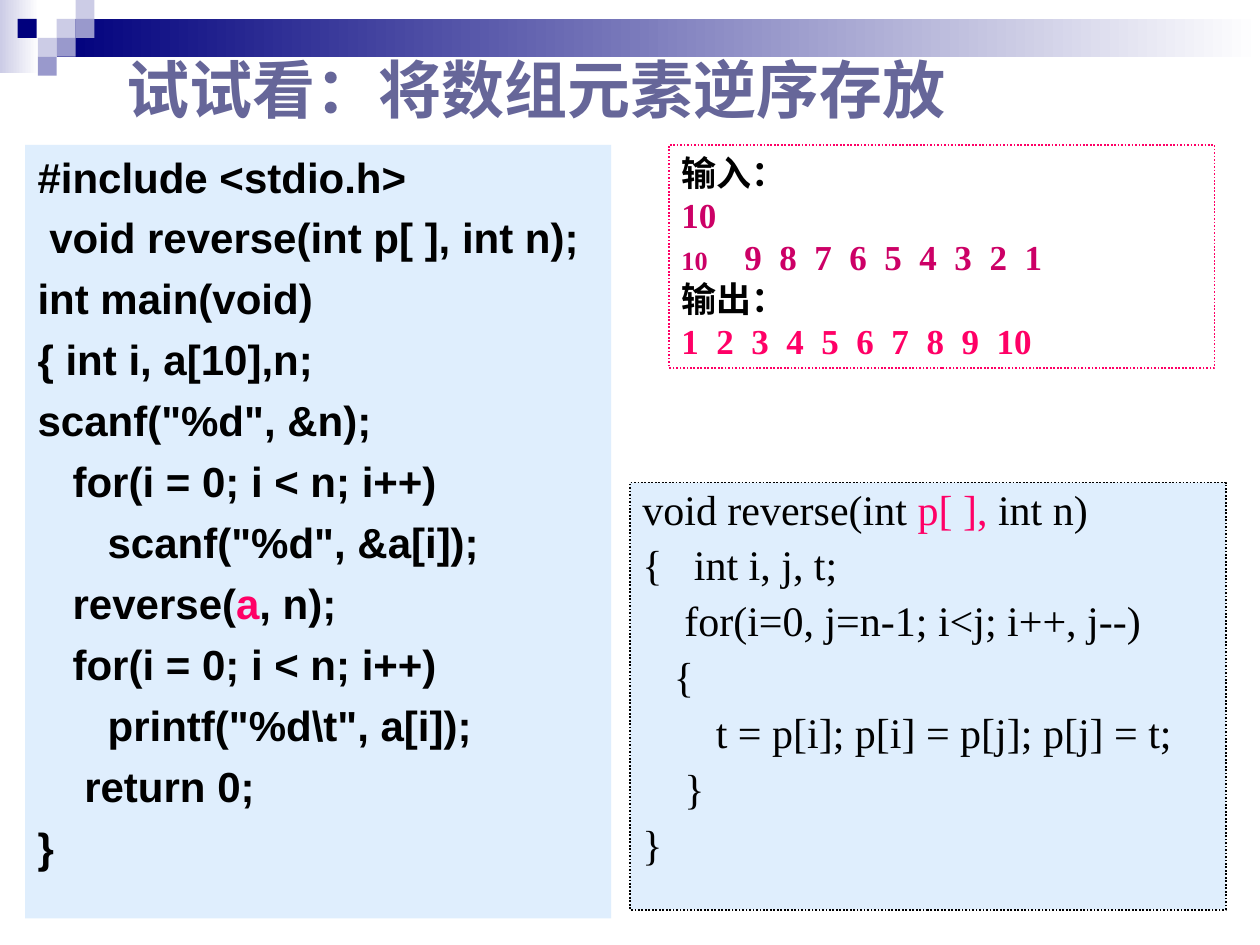
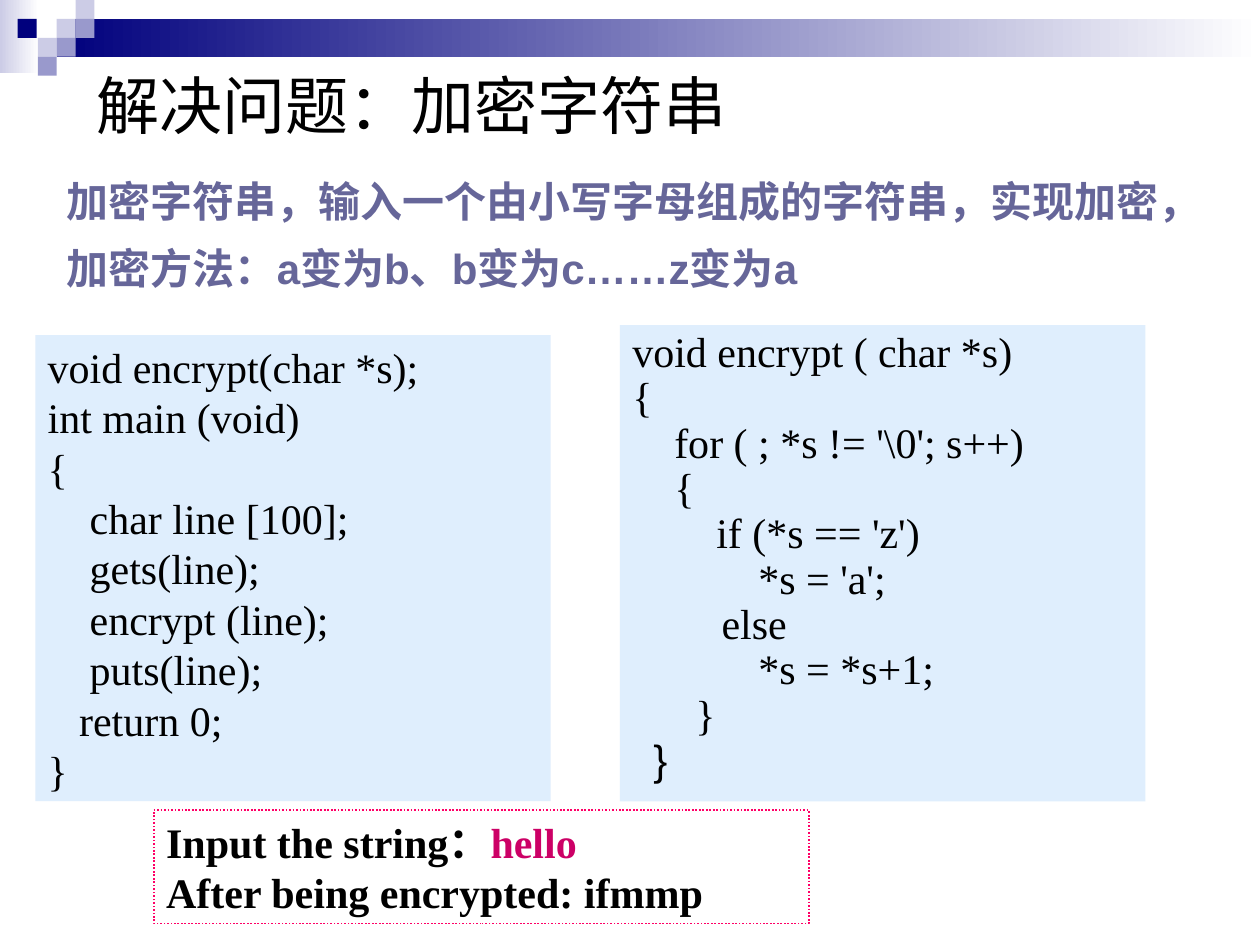
"""Builds two slides of C code examples: reversing an array and encrypting a string."""
from dataclasses import dataclass
from typing import Optional

from lxml import etree
from pptx import Presentation
from pptx.dml.color import RGBColor
from pptx.enum.dml import MSO_LINE
from pptx.enum.shapes import MSO_SHAPE
from pptx.enum.text import MSO_ANCHOR, MSO_AUTO_SIZE, PP_ALIGN
from pptx.oxml.ns import qn
from pptx.util import Inches, Pt

RECTANGLE = MSO_SHAPE.RECTANGLE
DOTTED = MSO_LINE.ROUND_DOT
TOP, MIDDLE, BOTTOM = MSO_ANCHOR.TOP, MSO_ANCHOR.MIDDLE, MSO_ANCHOR.BOTTOM
LEFT = PP_ALIGN.LEFT
NO_AUTOFIT = MSO_AUTO_SIZE.NONE
TITLE_ONLY = 5


@dataclass(frozen=True)
class Theme:
    black: str = "000000"
    white: str = "FFFFFF"
    navy: str = "00007D"
    violet: str = "9999CC"
    lavender: str = "CCCCE6"
    heading: str = "666699"
    panel: str = "DFEEFD"
    pink: str = "FF0066"
    crimson: str = "CC0066"
    sans: str = "Arial"
    serif: str = "Times New Roman"
    title_size: int = 36
    code_size: int = 24
    result_size: int = 20
    spacer_size: int = 44


THEME = Theme()
SPACE_WIDTH = {THEME.sans: 0.278, THEME.serif: 0.25}


@dataclass
class Run:
    text: str
    color: Optional[str] = None
    size: Optional[int] = None


@dataclass
class Line:
    runs: object
    indent: float = 0
    color: Optional[str] = None
    font: Optional[str] = None
    number: Optional[int] = None


def number_paragraph(paragraph, start, color):
    properties = paragraph._p.get_or_add_pPr()
    properties.set("marL", str(Inches(0.5)))
    properties.set("indent", str(-Inches(0.5)))
    bullet_color = etree.SubElement(properties, qn("a:buClr"))
    etree.SubElement(bullet_color, qn("a:srgbClr"), val=color)
    etree.SubElement(properties, qn("a:buSzPct"), val="75000")
    etree.SubElement(properties, qn("a:buAutoNum"), type="arabicPlain", startAt=str(start))


def write(shape, lines, *, size=THEME.code_size, font=THEME.serif, color=THEME.black,
          bold=False, anchor=TOP, spacing=1.0, before=0):
    frame = shape.text_frame
    frame.word_wrap = True
    frame.auto_size = NO_AUTOFIT
    frame.vertical_anchor = anchor
    frame.margin_left = frame.margin_right = Inches(0.1)
    frame.margin_top = frame.margin_bottom = Inches(0.05)
    for index, line in enumerate(lines):
        line = line if isinstance(line, Line) else Line(line)
        paragraph = frame.add_paragraph() if index else frame.paragraphs[0]
        paragraph.alignment = LEFT
        paragraph.line_spacing = spacing
        paragraph.space_before = Pt(before)
        if line.indent:
            width = Pt(line.indent * size * SPACE_WIDTH[font])
            paragraph._p.get_or_add_pPr().set("marL", str(width))
        if line.number:
            number_paragraph(paragraph, line.number, line.color or color)
        for part in line.runs if isinstance(line.runs, list) else [line.runs]:
            part = part if isinstance(part, Run) else Run(part)
            run = paragraph.add_run()
            run.text = part.text
            run.font.name = line.font or font
            run.font.size = Pt(part.size or size)
            run.font.bold = bold
            run.font.color.rgb = RGBColor.from_string(part.color or line.color or color)


class Deck:
    def __init__(self, theme):
        self.theme = theme
        self.presentation = Presentation()
        self.presentation.slide_width = Inches(10)
        self.presentation.slide_height = Inches(7.5)
        self.layout = self.presentation.slide_layouts[TITLE_ONLY]
        self.slide = None

    def add_slide(self):
        first = self.slide is None
        self.slide = self.presentation.slides.add_slide(self.layout)
        if first:
            self.add_bands()

    def box(self, left, top, width, height, fill=None, gradient=None, line=None, dash=None):
        shape = self.slide.shapes.add_shape(
            RECTANGLE, Inches(left), Inches(top), Inches(width), Inches(height))
        shape.shadow.inherit = False
        if gradient:
            shape.fill.gradient()
            shape.fill.gradient_angle = 0
            for stop, color in zip(shape.fill.gradient_stops, gradient):
                stop.color.rgb = RGBColor.from_string(color)
        elif fill:
            shape.fill.solid()
            shape.fill.fore_color.rgb = RGBColor.from_string(fill)
        else:
            shape.fill.background()
        if line:
            shape.line.color.rgb = RGBColor.from_string(line)
            shape.line.width = Pt(1)
            shape.line.dash_style = dash
        else:
            shape.line.fill.background()
        return shape

    def add_bands(self):
        theme = self.theme
        bands = [
            self.box(0, 0, 0.31, 0.58, gradient=(theme.lavender, theme.white)),
            self.box(0.45, 0.15, 9.55, 0.3, gradient=(theme.navy, theme.white)),
        ]
        squares = [(0.45, 0.15, theme.lavender), (0.6, 0, theme.lavender),
                   (0.6, 0.15, theme.violet), (0.3, 0.3, theme.lavender),
                   (0.14, 0.15, theme.navy), (0.45, 0.3, theme.violet),
                   (0.3, 0.45, theme.violet)]
        bands += [self.box(left, top, 0.15, 0.15, fill=color) for left, top, color in squares]
        for band in bands:
            self.layout.shapes.element.append(band.element)

    def title(self, left, top, width, height, runs, **style):
        title = self.slide.shapes.title
        title.left, title.top = Inches(left), Inches(top)
        title.width, title.height = Inches(width), Inches(height)
        write(title, [runs], font=self.theme.sans, color=self.theme.heading,
              bold=True, anchor=MIDDLE, **style)

    def label(self, left, top, width, height, text, **style):
        label = self.slide.shapes.add_textbox(
            Inches(left), Inches(top), Inches(width), Inches(height))
        write(label, [text], **style)

    def code(self, left, top, width, height, lines, line=None, dash=None, **style):
        panel = self.box(left, top, width, height, fill=self.theme.panel, line=line, dash=dash)
        write(panel, lines, **style)

    def result(self, left, top, width, height, lines, **style):
        frame = self.box(left, top, width, height, line=self.theme.pink, dash=DOTTED)
        write(frame, lines, bold=True, **style)


def add_reverse_slide(deck):
    theme = deck.theme
    deck.add_slide()
    deck.code(0.2, 1.15, 4.65, 6.14, [
        "#include <stdio.h>",
        Line("void reverse(int p[ ], int n);", 1),
        "int main(void)",
        "{ int i, a[10],n;",
        'scanf("%d", &n);',
        Line("for(i = 0; i < n; i++)", 3),
        Line('scanf("%d", &a[i]);', 6),
        Line(["reverse(", Run("a", theme.pink), ", n);"], 3),
        Line("for(i = 0; i < n; i++)", 3),
        Line('printf("%d\\t", a[i]);', 6),
        Line("return 0;", 4),
        "}",
    ], font=theme.sans, bold=True, before=6)
    deck.title(0.9, 0.31, 8.66, 0.79, "试试看：将数组元素逆序存放", size=theme.title_size)
    deck.code(5, 3.83, 4.73, 3.39, [
        ["void reverse(int ", Run("p[ ], ", theme.pink), "int n)"],
        "{   int i, j, t;",
        Line("for(i=0, j=n-1; i<j; i++, j--)", 4),
        Line("{", 3),
        Line("t = p[i]; p[i] = p[j]; p[j] = t;", 7),
        Line("}", 4),
        "}",
    ], line=theme.black, dash=DOTTED, spacing=0.9, before=6)
    deck.result(5.31, 1.15, 4.33, 1.77, [
        "输入：",
        Line("10", color=theme.crimson),
        Line("9  8  7  6  5  4  3  2  1", color=theme.crimson, number=10),
        "输出：",
        Line("1  2  3  4  5  6  7  8  9  10", color=theme.pink),
    ], size=theme.result_size)


def add_encrypt_slide(deck):
    theme = deck.theme
    deck.add_slide()
    deck.title(0.43, 1.36, 9.29, 1.13, [
        "加密字符串，输入一个由小写字母组成的字符串，实现加密，加密方法：a变为b、b变为c……z变为a",
        Run(" ", size=theme.spacer_size),
    ], spacing=0.8)
    deck.code(0.28, 2.66, 4.09, 3.7, [
        "void encrypt(char *s);",
        "int main (void)",
        "{",
        Line("char line [100];", 4),
        Line("gets(line);", 4),
        Line("encrypt (line);", 4),
        Line("puts(line);", 4),
        Line("return 0;", 3),
        "}",
    ])
    deck.code(4.92, 2.58, 4.17, 3.78, [
        "void encrypt ( char *s)",
        "{",
        Line("for ( ; *s != '\\0'; s++)", 4),
        Line("{", 4),
        Line("if (*s == 'z')", 8),
        Line("*s = 'a';", 12),
        Line("else", 8.5),
        Line("*s = *s+1;", 12),
        Line("}", 6),
        Line("}", 2, font=theme.sans),
    ], spacing=0.9)
    deck.result(1.22, 6.43, 5.2, 0.9, [
        ["Input the string：", Run("hello", theme.crimson)],
        "After being encrypted: ifmmp",
    ])
    deck.label(0.67, 0.39, 8.19, 0.79, "解决问题：加密字符串",
               size=theme.title_size, font=theme.sans, anchor=BOTTOM)


def main():
    deck = Deck(THEME)
    add_reverse_slide(deck)
    add_encrypt_slide(deck)
    deck.presentation.save("out.pptx")


if __name__ == "__main__":
    main()
